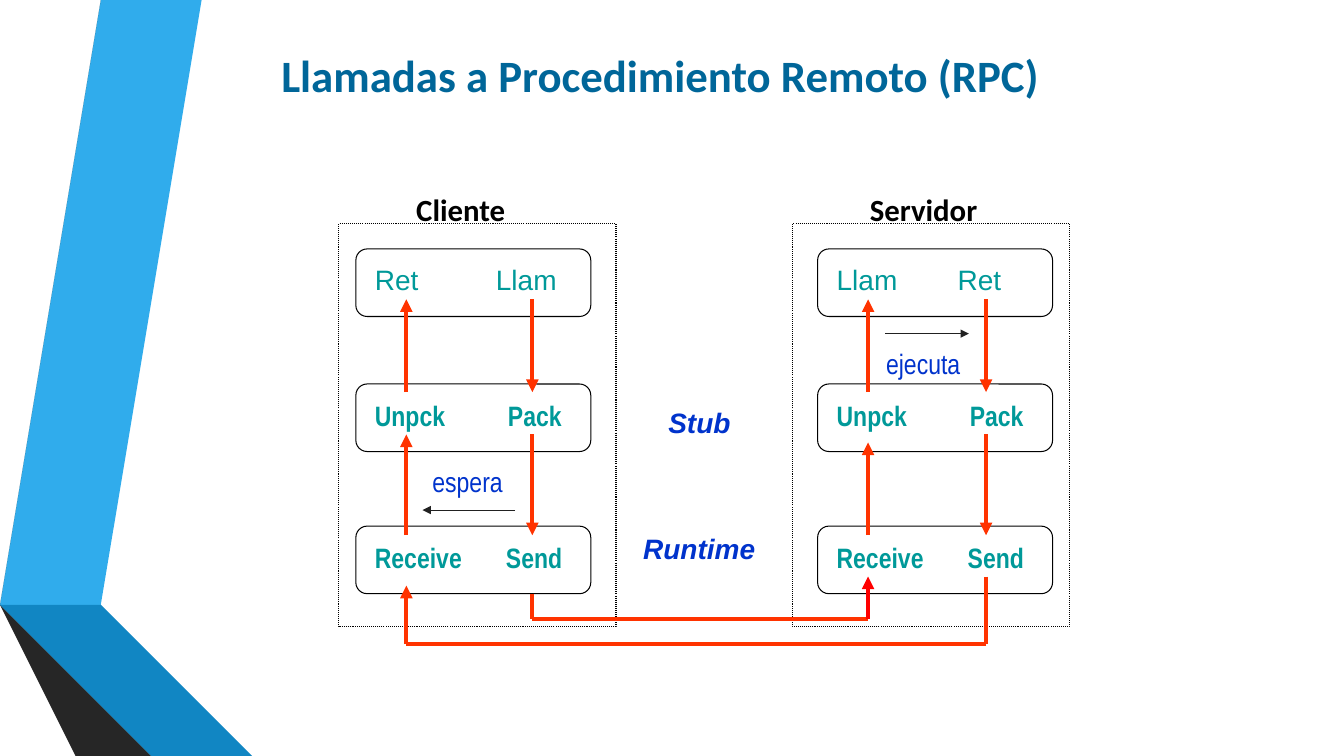
from dataclasses import dataclass

from lxml.etree import SubElement
from pptx import Presentation
from pptx.dml.color import RGBColor
from pptx.enum.dml import MSO_LINE_DASH_STYLE as Dash
from pptx.enum.shapes import MSO_CONNECTOR as Connector, MSO_SHAPE as Shape
from pptx.enum.text import MSO_ANCHOR as Anchor, MSO_AUTO_SIZE as AutoSize, PP_ALIGN as Align
from pptx.oxml.ns import qn
from pptx.util import Inches, Pt


@dataclass(frozen=True)
class Theme:
    title: str = "006699"
    ink: str = "000000"
    step: str = "009999"
    note: str = "0033CC"
    flow: str = "FF3300"
    reply: str = "FF0000"
    thin: str = "212121"
    heading_font: str = "Calibri"
    body_font: str = "Arial"
    narrow_font: str = "Arial Narrow"
    title_size: int = 32
    heading_size: int = 22
    body_size: int = 20
    flow_width: float = 3
    thin_width: float = 0.75


class SlideBuilder:
    def __init__(self, slide, theme):
        self.slide = slide
        self.theme = theme

    def add_text(self, frame, text, font, size, color, bold=False, italic=False):
        frame.word_wrap = True
        frame.auto_size = AutoSize.NONE
        paragraph = frame.paragraphs[0]
        paragraph.alignment = Align.LEFT
        run = paragraph.add_run()
        run.text = text
        run.font.name = font
        run.font.size = Pt(size)
        run.font.bold = bold
        run.font.italic = italic
        run.font.color.rgb = RGBColor.from_string(color)
        return paragraph

    def title(self, text, left, top, width, height):
        shape = self.slide.shapes.title
        shape.left, shape.top = Inches(left), Inches(top)
        shape.width, shape.height = Inches(width), Inches(height)
        shape.text_frame.vertical_anchor = Anchor.BOTTOM
        self.add_text(shape.text_frame, text, self.theme.heading_font,
                      self.theme.title_size, self.theme.title, bold=True)

    def label(self, text, left, top, width, font, size, color, **style):
        shape = self.slide.shapes.add_textbox(
            Inches(left), Inches(top), Inches(width), Inches(0.43))
        return self.add_text(shape.text_frame, text, font, size, color, **style)

    def outline(self, kind, left, top, width, height, dash=None):
        shape = self.slide.shapes.add_shape(
            kind, Inches(left), Inches(top), Inches(width), Inches(height))
        shape.shadow.inherit = False
        shape.fill.background()
        shape.line.color.rgb = RGBColor.from_string(self.theme.ink)
        shape.line.width = Pt(self.theme.thin_width)
        if dash:
            shape.line.dash_style = dash

    def step(self, left, top, words, tab, font, bold):
        """A rounded box with two words, the second at a tab stop."""
        self.outline(Shape.ROUNDED_RECTANGLE, left, top, 2.33, 0.67)
        paragraph = self.label("\t".join(words), left + 0.09, top + 0.09, 2.07,
                               font, self.theme.body_size, self.theme.step, bold=bold)
        properties = paragraph._p.get_or_add_pPr()
        stops = SubElement(properties, qn("a:tabLst"))
        SubElement(stops, qn("a:tab"), pos=str(Inches(tab)), algn="l")

    def line(self, start, end, color, width, arrow=True):
        connector = self.slide.shapes.add_connector(
            Connector.STRAIGHT, *(Inches(value) for value in (*start, *end)))
        connector.line.color.rgb = RGBColor.from_string(color)
        connector.line.width = Pt(width)
        if arrow:
            SubElement(connector.get_or_add_ln(), qn("a:tailEnd"), type="triangle")
        SubElement(connector.element.spPr, qn("a:effectLst"))

    def ribbon(self, color, points):
        builder = self.slide.shapes.build_freeform(*points[0], scale=Inches(1))
        builder.add_line_segments(points[1:], close=True)
        shape = builder.convert_to_shape()
        shape.shadow.inherit = False
        shape.fill.solid()
        shape.fill.fore_color.rgb = RGBColor.from_string(color)
        shape.line.fill.background()


RIBBONS = [
    ("30ACEC", [(0.5, 5.78), (0.77, 5.83), (1.73, 0), (1.45, 0)]),
    ("595959", [(1.39, 0), (1.11, 0), (0.16, 5.73), (0.44, 5.77)]),
    ("262626", [(0.16, 5.73), (1.45, 7.5), (1.51, 7.5)]),
    ("0B5982", [(0.5, 5.79), (2.08, 7.5), (2.14, 7.5)]),
    ("1186C3", [(0.5, 5.79), (2.14, 7.5), (2.83, 7.5), (0.77, 5.83), (0.5, 5.78)]),
    ("3F3F3F", [(2.02, 7.5), (0.48, 5.83), (0.44, 5.77), (0.16, 5.73), (1.51, 7.5)]),
]


def main():
    presentation = Presentation()
    presentation.slide_width, presentation.slide_height = Inches(13.33), Inches(7.5)
    slide = presentation.slides.add_slide(presentation.slide_layouts[5])
    theme = Theme()
    builder = SlideBuilder(slide, theme)

    # Side ribbons and title
    for color, points in RIBBONS:
        builder.ribbon(color, points)
    builder.title("Llamadas a Procedimiento Remoto (RPC)", 2.69, 0.43, 9, 0.63)

    # Client and server: frame, heading and three steps each
    machines = [
        ("Cliente", 3.36, 4.03, 3.53, ("Ret", "Llam")),
        ("Servidor", 7.86, 8.53, 8.11, ("Llam", "Ret")),
    ]
    for name, frame_left, name_left, step_left, calls in machines:
        steps = [
            (2.47, calls, 1.2, theme.body_font, False),
            (3.81, ("Unpck", "Pack"), 1.32, theme.narrow_font, True),
            (5.22, ("Receive", "Send"), 1.3, theme.narrow_font, True),
        ]
        for top, words, tab, font, bold in steps:
            builder.step(step_left, top, words, tab, font, bold)
        builder.outline(Shape.RECTANGLE, frame_left, 2.22, 2.75, 4, Dash.ROUND_DOT)
        builder.label(name, name_left, 1.84, 1.75, theme.heading_font,
                      theme.heading_size, theme.ink, bold=True)

    # Vertical flow between the steps
    client_up, client_down, server_up, server_down = 4.03, 5.28, 8.61, 9.78
    for x in (client_down, server_down):
        for top, bottom in ((2.97, 3.89), (4.31, 5.31)):
            builder.line((x, top), (x, bottom), theme.flow, theme.flow_width)
    for x, middle in ((client_up, 4.31), (server_up, 4.39)):
        for bottom, top in ((3.89, 2.97), (5.31, middle)):
            builder.line((x, bottom), (x, top), theme.flow, theme.flow_width)

    # Request and reply: down, across and up into Receive
    messages = [
        (client_down, 5.89, 6.14, server_up, 5.72, theme.reply),
        (server_down, 5.72, 6.39, client_up, 5.81, theme.flow),
    ]
    for sender, start, level, receiver, end, arrow_color in messages:
        builder.line((sender, start), (sender, level), theme.flow, theme.flow_width, arrow=False)
        builder.line((sender, level), (receiver, level), theme.flow, theme.flow_width, arrow=False)
        builder.line((receiver, level), (receiver, end), arrow_color, theme.flow_width)

    # Layer names
    for text, left, top in (("Runtime", 6.28, 5.22), ("Stub", 6.53, 3.97)):
        builder.label(text, left, top, 1.5, theme.body_font, theme.body_size,
                      theme.note, bold=True, italic=True)

    # Waiting and running
    for start, end in (((5.11, 5.06), (4.19, 5.06)), ((8.78, 3.31), (9.61, 3.31))):
        builder.line(start, end, theme.thin, theme.thin_width)
    for text, left, top in (("espera", 4.19, 4.56), ("ejecuta", 8.69, 3.39)):
        builder.label(text, left, top, 1.08, theme.narrow_font, theme.body_size, theme.note)

    presentation.save("out.pptx")


if __name__ == "__main__":
    main()
